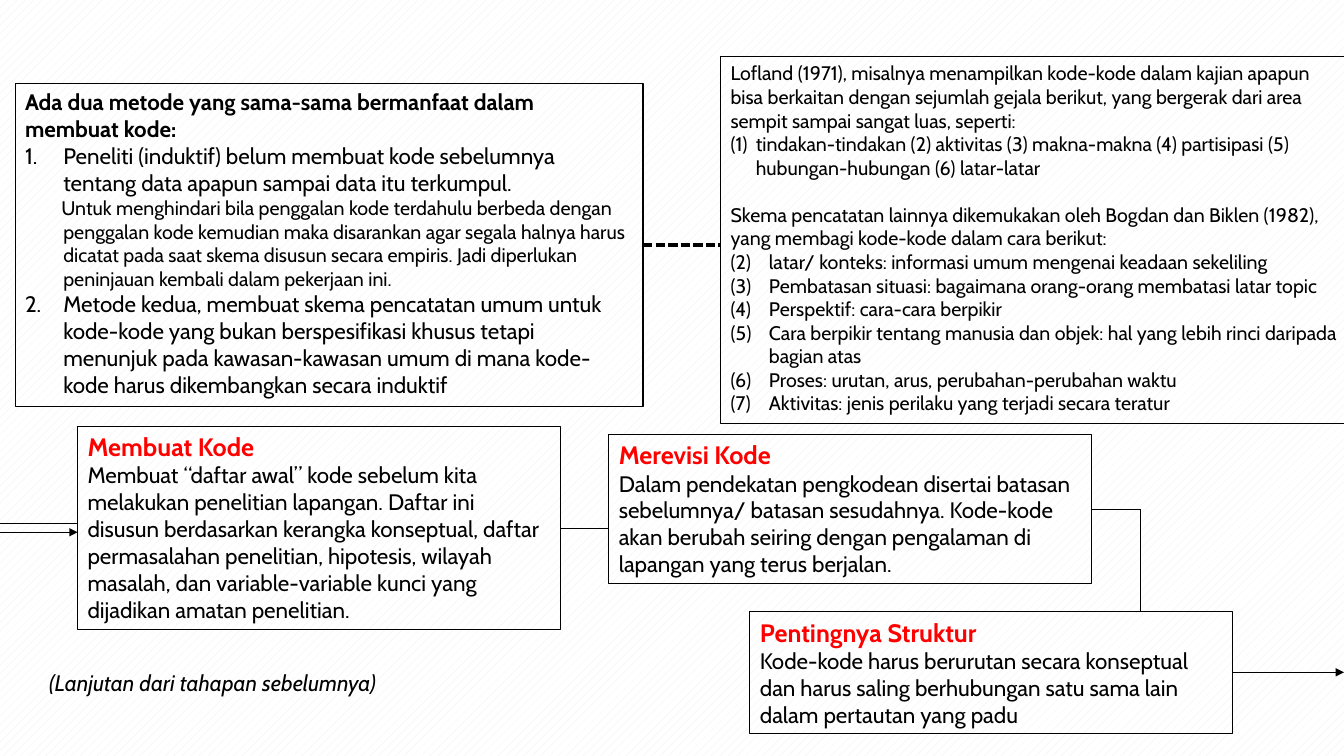
import lxml.etree
import pptx
import pptx.dml.color
import pptx.enum.dml
import pptx.enum.shapes
import pptx.enum.text
import pptx.oxml.ns
import pptx.util

BLACK = pptx.dml.color.RGBColor(0, 0, 0)
RED = pptx.dml.color.RGBColor(255, 0, 0)
WHITE = pptx.dml.color.RGBColor(255, 255, 255)
GREY = pptx.dml.color.RGBColor(0xED, 0xED, 0xED)

# Grid: 40 columns by 30 rows
COL = pptx.util.Inches(40 / 3) / 40
ROW = pptx.util.Inches(7.5) / 30


def add(node, tag, **attrs):
    return lxml.etree.SubElement(node, pptx.oxml.ns.qn(tag), **attrs)


class Deck:
    font = "Cabin"

    def __init__(self):
        self.prs = pptx.Presentation()
        self.prs.slide_width = round(40 * COL)
        self.prs.slide_height = round(30 * ROW)
        self.slide = self.prs.slides.add_slide(self.prs.slide_layouts[6])

    def ground(self):
        fill = self.slide.background.fill
        fill.patterned()
        fill.pattern = pptx.enum.dml.MSO_PATTERN.DASHED_UPWARD_DIAGONAL
        fill.fore_color.rgb = GREY
        fill.back_color.rgb = WHITE

    def put(self, shape, paras):
        frame = shape.text_frame
        frame.word_wrap = True
        frame.auto_size = pptx.enum.text.MSO_AUTO_SIZE.SHAPE_TO_FIT_TEXT
        frame.vertical_anchor = pptx.enum.text.MSO_ANCHOR.TOP
        frame.text = "\n".join(text for text, style in paras)
        for para, (text, style) in zip(frame.paragraphs, paras):
            self.dress(para, **style)

    def dress(self, para, size=16, color=BLACK, bold=False, italic=False,
              left=0, hang=0, num=None, start=1, before=0):
        para.alignment = pptx.enum.text.PP_ALIGN.LEFT
        para.space_before = pptx.util.Pt(before)
        prop = para._p.get_or_add_pPr()
        prop.set("marL", str(pptx.util.Inches(left)))
        prop.set("indent", str(-pptx.util.Inches(hang)))
        if num:
            add(prop, "a:buFont", typeface="+mj-lt")
            add(prop, "a:buAutoNum", type=num, startAt=str(start))
        for run in para.runs:
            font = run.font
            font.name = self.font
            font.size = pptx.util.Pt(size)
            font.color.rgb = color
            font.bold = bold
            font.italic = italic

    def box(self, x, y, wide, high, paras):
        shape = self.slide.shapes.add_shape(
            pptx.enum.shapes.MSO_SHAPE.RECTANGLE, round(x * COL),
            round(y * ROW), round(wide * COL), round(high * ROW))
        shape.shadow.inherit = False
        shape.fill.background()
        shape.line.color.rgb = BLACK
        shape.line.width = pptx.util.Pt(0.75)
        self.put(shape, paras)

    def step(self, x, y, high, title, body):
        self.box(x, y, 14.37, high, [
            (title, dict(size=18, color=RED, bold=True)), (body, {})])

    def label(self, x, y, wide, high, text, **style):
        shape = self.slide.shapes.add_textbox(
            round(x * COL), round(y * ROW), round(wide * COL),
            round(high * ROW))
        self.put(shape, [(text, style)])

    def link(self, x1, y1, x2, y2, width=0.5, dash=None, arrow=False):
        link = self.slide.shapes.add_connector(
            pptx.enum.shapes.MSO_CONNECTOR.STRAIGHT, round(x1 * COL),
            round(y1 * ROW), round(x2 * COL), round(y2 * ROW))
        link.line.color.rgb = BLACK
        link.line.width = pptx.util.Pt(width)
        if dash:
            link.line.dash_style = dash
        if arrow:
            add(link.line._get_or_add_ln(), "a:tailEnd", type="triangle")
        add(link._element.spPr, "a:effectLst")


def main():
    deck = Deck()
    deck.ground()

    # Two methods of coding
    item = dict(left=0.38, hang=0.38, num="arabicPeriod")
    deck.box(0.45, 3.32, 18.69, 12.8, [
        ("Ada dua metode yang sama-sama bermanfaat dalam membuat kode:",
         dict(bold=True)),
        ("Peneliti (induktif) belum membuat kode sebelumnya tentang data "
         "apapun sampai data itu terkumpul.", item),
        ("Untuk menghindari bila penggalan kode terdahulu berbeda dengan "
         "penggalan kode kemudian maka disarankan agar segala halnya harus "
         "dicatat pada saat skema disusun secara empiris. Jadi diperlukan "
         "peninjauan kembali dalam pekerjaan ini.",
         dict(size=14, left=0.38, hang=0.02)),
        ("Metode kedua, membuat skema pencatatan umum untuk kode-kode yang "
         "bukan berspesifikasi khusus tetapi menunjuk pada kawasan-kawasan "
         "umum di mana kode-kode harus dikembangkan secara induktif",
         dict(item, start=2)),
    ])

    # Coding schemes from the literature
    kinds = [
        "latar/ konteks: informasi umum mengenai keadaan sekeliling",
        "Pembatasan situasi: bagaimana orang-orang membatasi latar topic",
        "Perspektif: cara-cara berpikir",
        "Cara berpikir tentang manusia dan objek: hal yang lebih rinci "
        "daripada bagian atas",
        "Proses: urutan, arus, perubahan-perubahan waktu",
        "Aktivitas: jenis perilaku yang terjadi secara teratur",
    ]
    paren = dict(size=14, num="arabicParenBoth")
    deck.box(21.45, 2.24, 18.69, 14.56, [
        ("Lofland (1971), misalnya menampilkan kode-kode dalam kajian apapun "
         "bisa berkaitan dengan sejumlah gejala berikut, yang bergerak dari "
         "area sempit sampai sangat luas, seperti:", dict(size=14)),
        ("tindakan-tindakan (2) aktivitas (3) makna-makna (4) partisipasi "
         "(5) hubungan-hubungan (6) latar-latar",
         dict(paren, left=0.25, hang=0.25)),
        ("Skema pencatatan lainnya dikemukakan oleh Bogdan dan Biklen "
         "(1982), yang membagi kode-kode dalam cara berikut:",
         dict(size=14, before=17)),
        *[(kind, dict(paren, left=0.38, hang=0.38, start=2))
          for kind in kinds],
    ])

    # Steps
    deck.step(2.31, 16.92, 8.08, "Membuat Kode",
              "Membuat “daftar awal” kode sebelum kita melakukan penelitian "
              "lapangan. Daftar ini disusun berdasarkan kerangka konseptual, "
              "daftar permasalahan penelitian, hipotesis, wilayah masalah, "
              "dan variable-variable kunci yang dijadikan amatan penelitian.")
    deck.step(18.12, 17.24, 5.92, "Merevisi Kode",
              "Dalam pendekatan pengkodean disertai batasan sebelumnya/ "
              "batasan sesudahnya. Kode-kode akan berubah seiring dengan "
              "pengalaman di lapangan yang terus berjalan.")
    deck.step(22.32, 24.28, 4.84, "Pentingnya Struktur",
              "Kode-kode harus berurutan secara konseptual dan harus saling "
              "berhubungan satu sama lain dalam pertautan yang padu")
    deck.label(1.17, 26.36, 12.93, 1.48,
               "(Lanjutan dari tahapan sebelumnya)", italic=True)

    # Links between the boxes
    deck.link(19.14, 9.72, 21.45, 9.72, width=2.25,
              dash=pptx.enum.dml.MSO_LINE.SQUARE_DOT)
    deck.link(0, 20.76, 2.31, 20.76)
    deck.link(0, 21.12, 2.31, 21.12, arrow=True)
    deck.link(16.68, 20.96, 18.12, 20.96)
    deck.link(32.49, 20.2, 33.93, 20.2)
    deck.link(33.93, 20.2, 33.93, 24.28)
    deck.link(36.69, 26.68, 40, 26.68, arrow=True)

    deck.prs.save("out.pptx")


if __name__ == "__main__":
    main()
